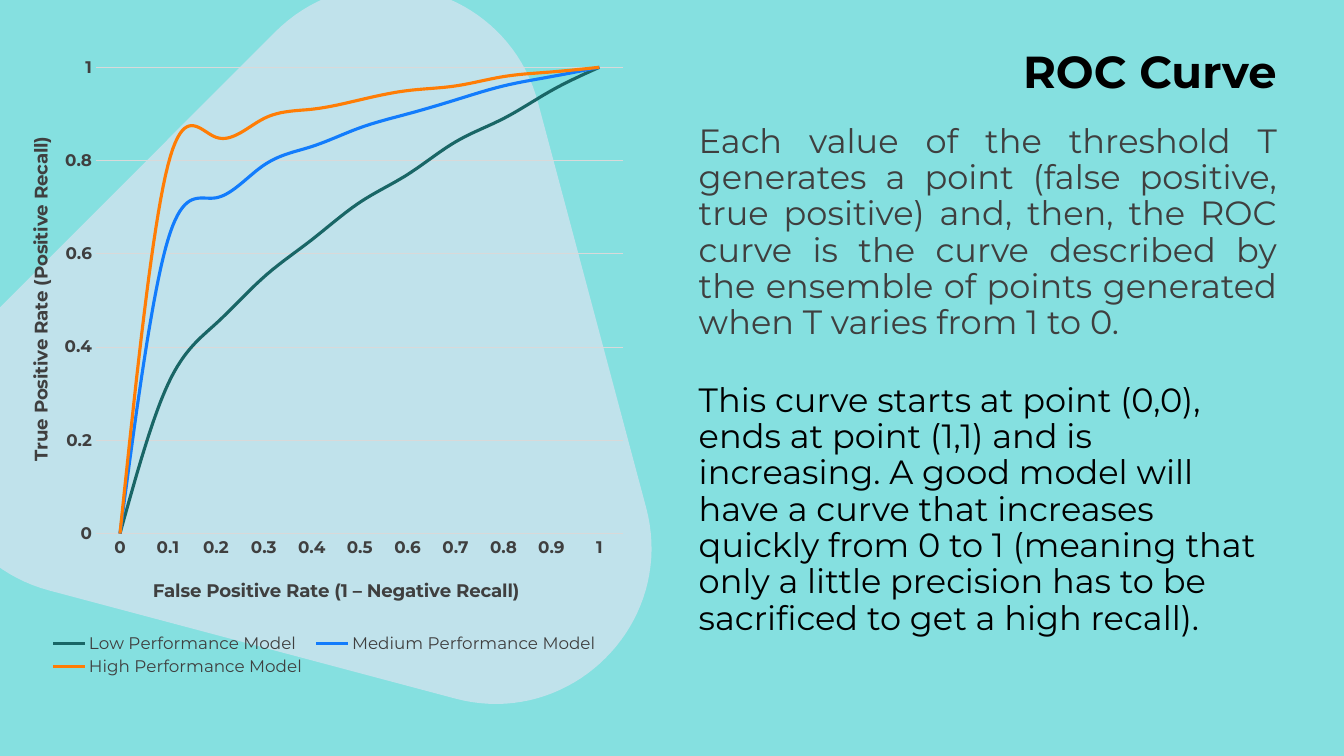
from lxml import etree
from pptx import Presentation
from pptx import util as u
from pptx.chart import data as chart_data
from pptx.dml.color import RGBColor
from pptx.enum import chart as charts, text
from pptx.oxml import ns

AQUA = RGBColor(0x85, 0xE0, 0xE0)
LAVENDER = RGBColor(0xE4, 0xE4, 0xF3)
GREY = RGBColor(0x3F, 0x3F, 0x3F)
SILVER = RGBColor(0xD9, 0xD9, 0xD9)
BLACK = RGBColor(0x00, 0x00, 0x00)
TEAL = RGBColor(0x19, 0x66, 0x66)
BLUE = RGBColor(0x12, 0x7C, 0xFC)
ORANGE = RGBColor(0xFF, 0x7D, 0x05)

TRIANGLE_CORNERS = [
    [(6.93, 0.81), (9.09, -1.35), (12.78, -0.36), (13.56, 2.59)],
    [(16.28, 12.78), (17.07, 15.7), (14.38, 18.39), (11.46, 17.6)],
    [(1.24, 14.88), (-1.68, 14.1), (-2.67, 10.41), (-0.51, 8.26)],
]
RATES = ["0", *(f"0.{tenth}" for tenth in range(1, 10)), "1"]
MODELS = [
    ("Low Performance Model", TEAL,
     [0, 0.32, 0.45, 0.55, 0.63, 0.71, 0.77, 0.84, 0.89, 0.95, 1]),
    ("Medium Performance Model", BLUE,
     [0, 0.63, 0.72, 0.79, 0.83, 0.87, 0.9, 0.93, 0.96, 0.98, 1]),
    ("High Performance Model", ORANGE,
     [0, 0.79, 0.85, 0.89, 0.91, 0.93, 0.95, 0.96, 0.98, 0.99, 1]),
]
THRESHOLD = (
    "Each value of the threshold T generates a point (false positive, true positive) "
    "and, then, the ROC curve is the curve described by the ensemble of points "
    "generated when T varies from 1 to 0."
)
READING = (
    "This curve starts at point (0,0), ends at point (1,1) and is increasing. "
    "A good model will have a curve that increases quickly from 0 to 1 (meaning that "
    "only a little precision has to be sacrificed to get a high recall)."
)


def bezier(corner, steps=40):
    weights = (1, 3, 3, 1)
    for step in range(steps + 1):
        t = step / steps
        yield tuple(
            u.Cm(sum(w * (1 - t) ** (3 - i) * t ** i * point[axis]
                     for i, (w, point) in enumerate(zip(weights, corner))))
            for axis in (0, 1))


def place(element, index, **fractions):
    old = element.find(ns.qn("c:layout"))
    if old is not None:
        element.remove(old)
    layout = etree.Element(ns.qn("c:layout"))
    manual = etree.SubElement(layout, ns.qn("c:manualLayout"))
    if index == 0:
        etree.SubElement(manual, ns.qn("c:layoutTarget"), val="inner")
    for side in ("x", "y"):
        etree.SubElement(manual, ns.qn(f"c:{side}Mode"), val="edge")
    for name, value in fractions.items():
        etree.SubElement(manual, ns.qn(f"c:{name}"), val=str(value))
    element.insert(index, layout)


class SlideBuilder:
    """Draws styled elements on the current page."""

    def __init__(self, page, family="Montserrat"):
        self.page = page
        self.family = family
        page.background.fill.solid()
        page.background.fill.fore_color.rgb = AQUA

    def style(self, font, size, color, bold=False):
        font.name = self.family
        font.size = u.Pt(size)
        font.bold = bold
        font.color.rgb = color

    def rounded_outline(self, corners, color, opacity):
        outline = [point for corner in corners for point in bezier(corner)]
        pen = self.page.shapes.build_freeform(*outline[0])
        pen.add_line_segments(outline[1:], close=True)
        shape = pen.convert_to_shape()
        shape.shadow.inherit = False
        shape.line.fill.background()
        shape.fill.solid()
        shape.fill.fore_color.rgb = color
        tint = shape._element.spPr.find(".//" + ns.qn("a:srgbClr"))
        etree.SubElement(tint, ns.qn("a:alpha"), val=str(opacity * 1000))

    def text(self, words, left, top, width, height, size, color, align, bold=False):
        box = self.page.shapes.add_textbox(*map(u.Cm, (left, top, width, height)))
        frame = box.text_frame
        frame.word_wrap = True
        frame.margin_left = frame.margin_top = frame.margin_bottom = u.Cm(0.13)
        frame.margin_right = 0
        para = frame.paragraphs[0]
        para.alignment = align
        para.line_spacing = 0.9
        span = para.add_run()
        span.text = words
        self.style(span.font, size, color, bold)

    def axis(self, axis, title, x, y, turn):
        axis.major_tick_mark = axis.minor_tick_mark = charts.XL_TICK_MARK.NONE
        self.style(axis.tick_labels.font, 12, GREY, True)
        heading = axis.axis_title
        span = heading.text_frame.paragraphs[0].add_run()
        span.text = title
        self.style(span.font, 13, GREY, True)
        heading._element.find(".//" + ns.qn("a:bodyPr")).set("rot", str(turn * 60000))
        place(heading._element, 1, x=x, y=y)

    def line_chart(self, left, top, width, height, categories, models):
        source = chart_data.CategoryChartData()
        source.categories = categories
        for name, _, values in models:
            source.add_series(name, values)
        chart = self.page.shapes.add_chart(
            charts.XL_CHART_TYPE.LINE, *map(u.Cm, (left, top, width, height)), source).chart
        chart.has_title = False
        self.style(chart.font, 10, GREY, True)
        plot = chart.plots[0]
        plot.vary_by_categories = False
        for series, (_, color, _) in zip(plot.series, models):
            series.smooth = True
            series.marker.style = charts.XL_MARKER_STYLE.NONE
            series.format.line.color.rgb = color
            series.format.line.width = u.Pt(2.25)

        across, up = chart.category_axis, chart.value_axis
        self.axis(across, "False Positive Rate (1 – Negative Recall)", 0.235, 0.835, 0)
        self.axis(up, "True Positive Rate (Positive Recall)", 0.04, 0.14, -90)
        up.minimum_scale, up.maximum_scale, up.major_unit = 0, 1, 0.2
        up.has_major_gridlines = True
        up.format.line.fill.background()
        for line in (across.format.line, up.major_gridlines.format.line):
            line.color.rgb = SILVER
            line.width = u.Pt(0.75)

        chart.has_legend = True
        legend = chart.legend
        legend.position = charts.XL_LEGEND_POSITION.BOTTOM
        legend.include_in_layout = False
        self.style(legend.font, 12, GREY)
        place(legend._element, 1, x=0.07, y=0.92, w=0.88, h=0.08)
        place(chart._chartSpace.find(".//" + ns.qn("c:plotArea")), 0,
              x=0.151, y=0.036, w=0.829, h=0.733)


def main():
    deck = Presentation()
    deck.slide_width, deck.slide_height = u.Cm(33.87), u.Cm(19.05)
    slide = SlideBuilder(deck.slides.add_slide(deck.slide_layouts[6]))
    slide.rounded_outline(TRIANGLE_CORNERS, LAVENDER, 63)
    slide.line_chart(0, 1.12, 16.03, 16.03, RATES, MODELS)
    slide.text(THRESHOLD, 17.48, 3, 14.7, 1.52, 24, GREY, text.PP_ALIGN.JUSTIFY)
    slide.text(READING, 17.48, 9.53, 14.7, 8.41, 24, BLACK, text.PP_ALIGN.LEFT)
    slide.text("ROC Curve", 14.78, 1.12, 17.4, 1.52, 32, BLACK, text.PP_ALIGN.RIGHT, True)
    deck.save("out.pptx")


if __name__ == "__main__":
    main()
